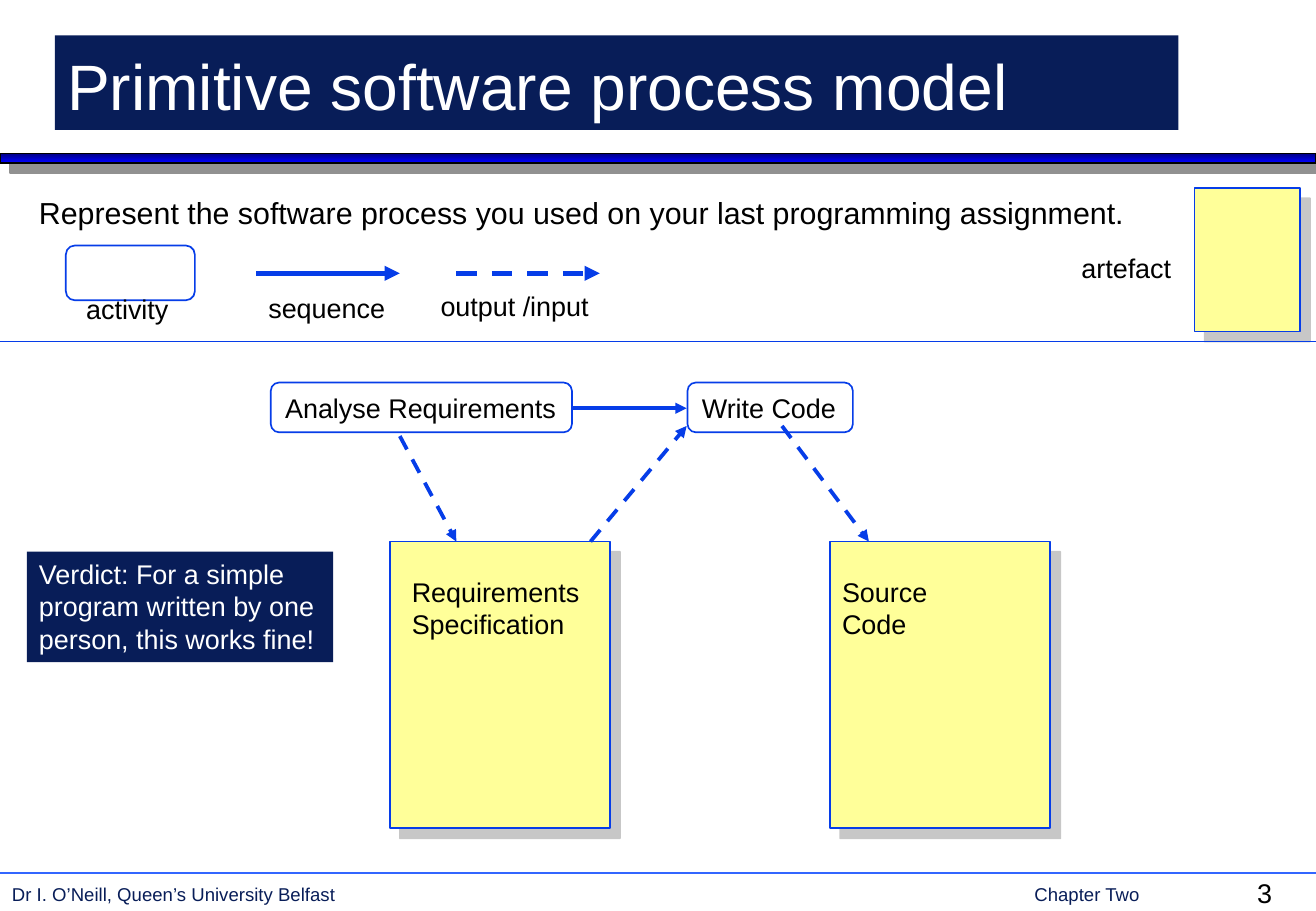
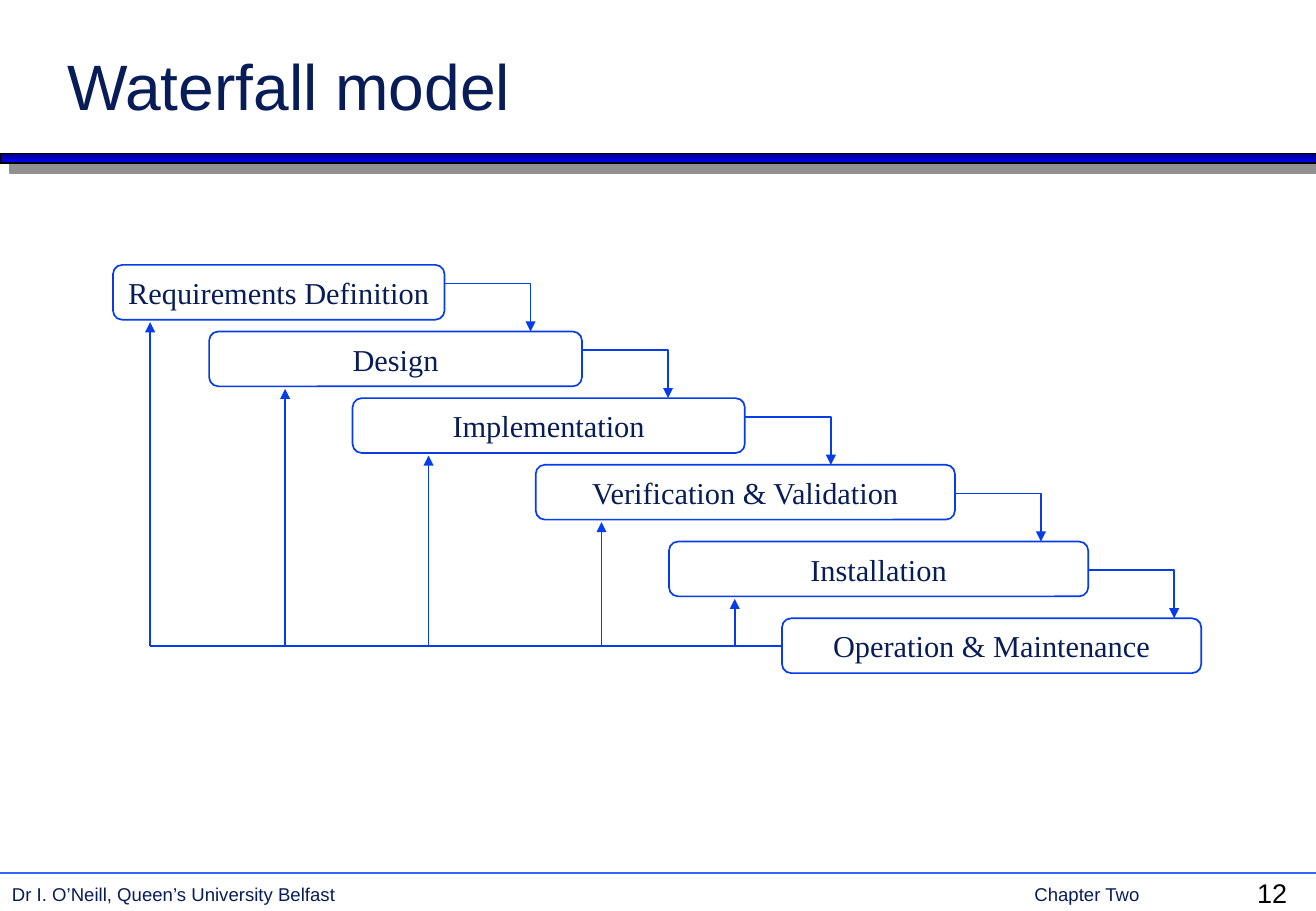
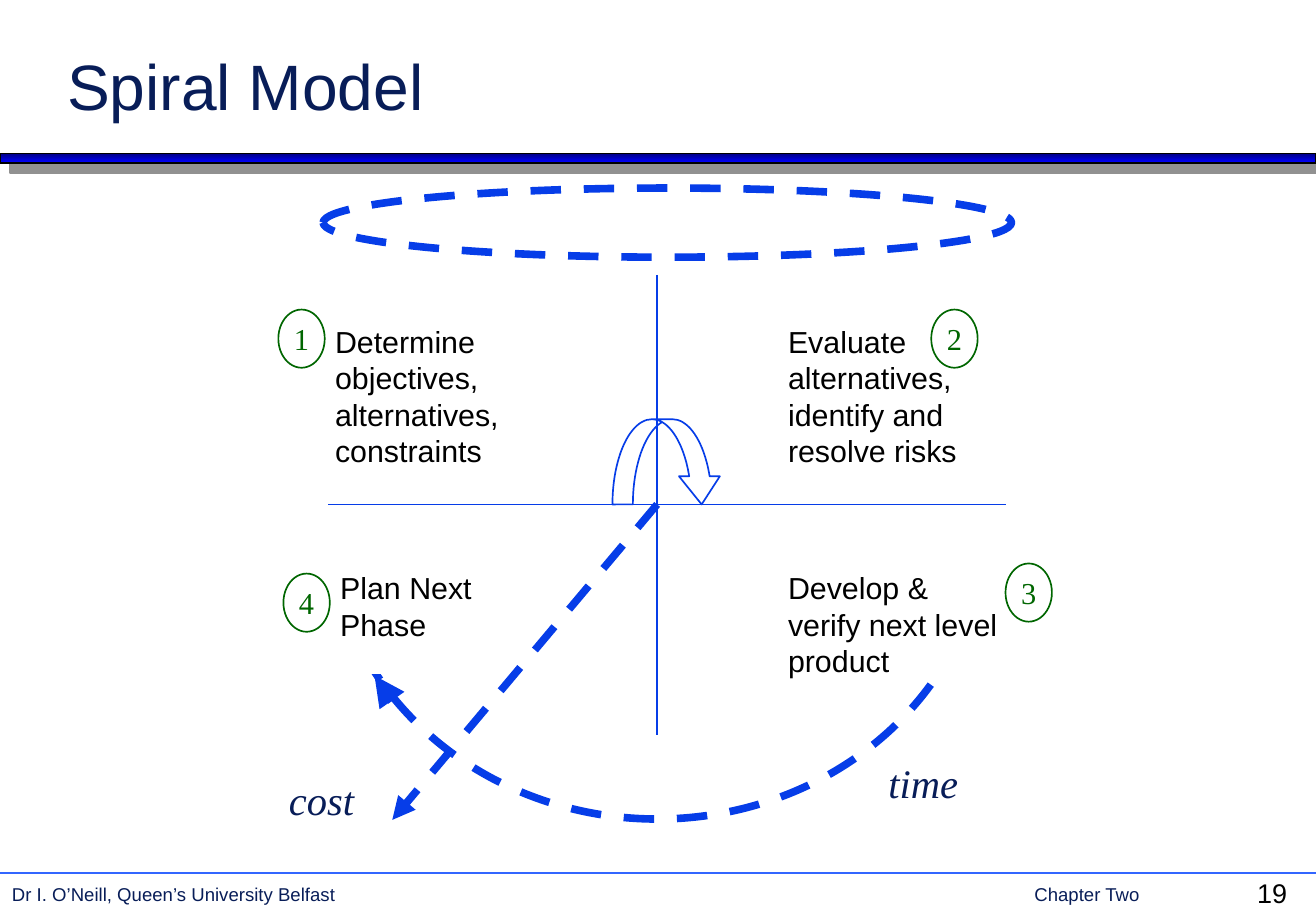
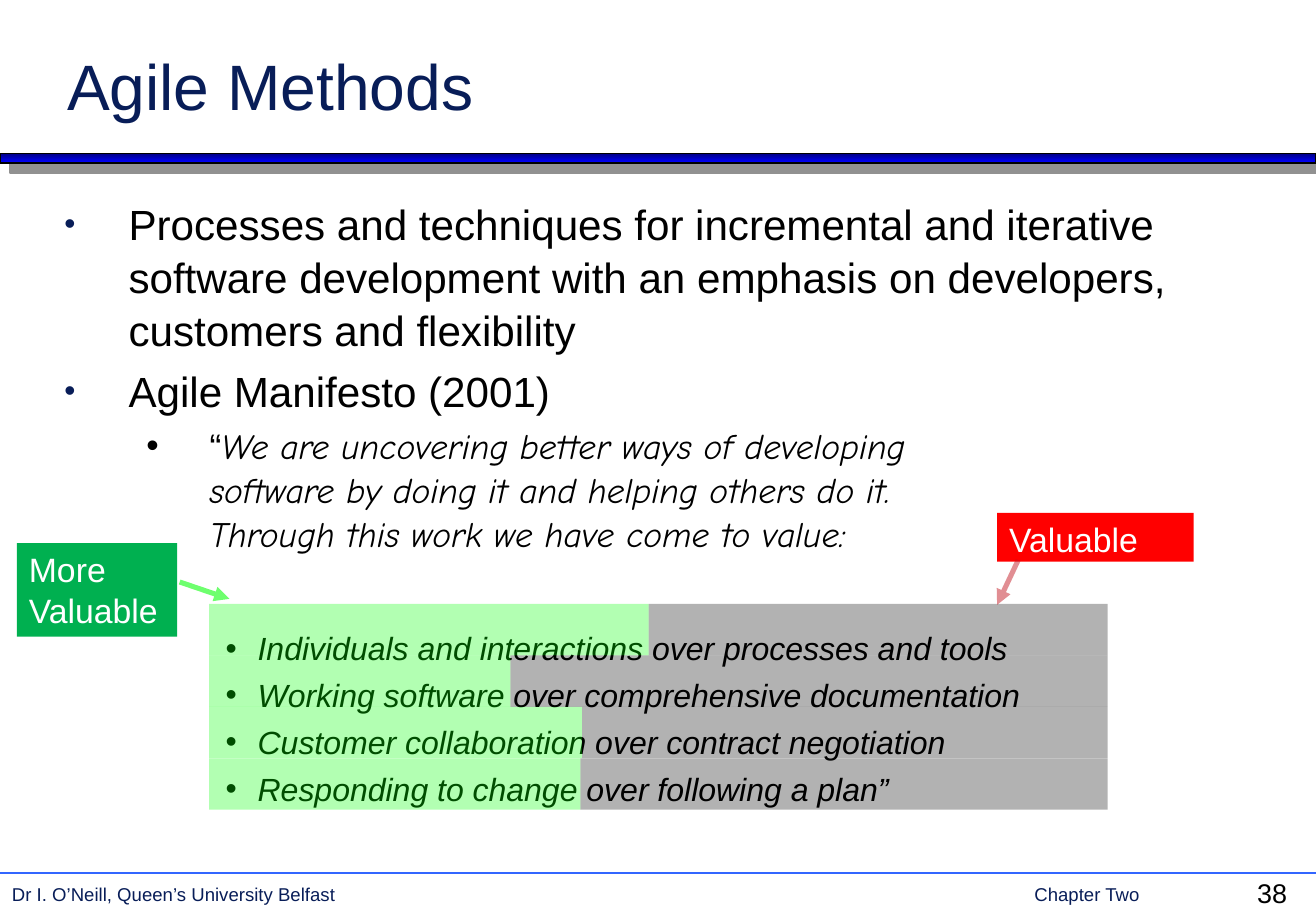
from dataclasses import dataclass

from lxml import etree
from pptx import Presentation
from pptx.dml.color import RGBColor
from pptx.enum.dml import MSO_LINE
from pptx.enum.shapes import MSO_CONNECTOR, MSO_SHAPE
from pptx.enum.text import MSO_ANCHOR, MSO_AUTO_SIZE, PP_ALIGN
from pptx.oxml.ns import qn
from pptx.util import Pt

RECT, ROUND = MSO_SHAPE.RECTANGLE, MSO_SHAPE.ROUNDED_RECTANGLE
OVAL, CURVED = MSO_SHAPE.OVAL, MSO_SHAPE.CURVED_DOWN_ARROW
STRAIGHT, DASH = MSO_CONNECTOR.STRAIGHT, MSO_LINE.DASH
LEFT, CENTER, RIGHT = PP_ALIGN.LEFT, PP_ALIGN.CENTER, PP_ALIGN.RIGHT
TOP, MIDDLE, BOTTOM = MSO_ANCHOR.TOP, MSO_ANCHOR.MIDDLE, MSO_ANCHOR.BOTTOM
FIXED = MSO_AUTO_SIZE.NONE

WIDE, HIGH = 780, 540
FULL, BARE = 1, 5  # layouts: title and body, title only


@dataclass(frozen=True)
class Theme:
    # colours
    navy: str = "081D58"
    blue: str = "063DE8"
    rule: str = "3366FF"
    deep: str = "000082"
    vivid: str = "0000FF"
    black: str = "000000"
    white: str = "FFFFFF"
    paper: str = "FFFF99"
    shade: str = "919191"
    forest: str = "006600"
    lime: str = "00FF00"
    green: str = "00B050"
    red: str = "FF0000"
    wine: str = "C1131E"
    # fonts
    sans: str = "Arial"
    serif: str = "Times New Roman"
    hand: str = "Comic Neue"
    # type sizes
    title: float = 38
    lead: float = 25
    axis: float = 24
    quote: float = 21
    tag: float = 20
    item: float = 19
    text: float = 18
    note: float = 16
    foot: float = 11


T = Theme()


def node(parent, tag, **attrs):
    """Append a DrawingML element."""
    return etree.SubElement(parent, qn(tag), attrs)


def paint(fill, color, alpha=100):
    fill.solid()
    fill.fore_color.rgb = RGBColor.from_string(color)
    if alpha < 100:
        for rgb in fill._xPr.iter(qn("a:srgbClr")):
            node(rgb, "a:alpha", val=str(alpha * 1000))


def style(run, size, color, font=T.sans, italic=False):
    run.font.size = Pt(size)
    run.font.name = font
    run.font.italic = italic
    run.font.color.rgb = RGBColor.from_string(color)


class Deck:
    def __init__(self):
        self.prs = Presentation()
        self.prs.slide_width, self.prs.slide_height = Pt(WIDE), Pt(HIGH)
        self.slide = None

    # Slides and shared parts
    def page(self, title, number, layout=BARE, fill=None):
        self.slide = self.prs.slides.add_slide(self.prs.slide_layouts[layout])
        if len(self.prs.slides) == 1:
            self.frame()
        head = self.slide.shapes.title
        self.place(head, (32.5, 21, 666, 56))
        if fill:
            paint(head.fill, fill)
        self.letter(head, title, T.title, T.white if fill else T.navy,
                    anchor=BOTTOM)
        self.text(str(number), (738, 516, 42, 26.5), T.note)

    def frame(self):
        """Put the band, rule and footer on the slide master."""
        band = self.box(RECT, (0, 91, WIDE, 5.5), line=T.black)
        band.fill.gradient()
        band.fill.gradient_angle = 270
        for stop, color in zip(band.fill.gradient_stops, (T.deep, T.vivid)):
            stop.color.rgb = RGBColor.from_string(color)
        self.shadow(band, 100)
        rule = self.line((0, 517.5), (WIDE, 517.5), color=T.rule)
        foot = self.text("Dr I. O’Neill, Queen’s University Belfast\tChapter Two",
                         (0, 520, 719, 20), T.foot, T.navy)
        props = foot.text_frame.paragraphs[0]._p.get_or_add_pPr()
        node(node(props, "a:tabLst"), "a:tab", pos=str(Pt(606)), algn="l")
        for key, part in enumerate((band, rule, foot), 20):
            part.element.xpath(".//p:cNvPr")[0].set("id", str(key))
            self.prs.slide_master.shapes.element.append(part.element)

    def place(self, shape, at):
        shape.left, shape.top, shape.width, shape.height = map(Pt, at)

    # Text
    def letter(self, shape, text, size, color, font=T.sans, italic=False,
               align=LEFT, anchor=TOP, wrap=True, inset=7.2):
        frame = shape.text_frame
        frame.word_wrap, frame.auto_size = wrap, FIXED
        frame.vertical_anchor = anchor
        frame.margin_left = frame.margin_right = Pt(inset)
        frame.margin_top = frame.margin_bottom = Pt(3.6)
        para = frame.paragraphs[0]
        para.text = text
        para.alignment = align
        for run in para.runs:
            style(run, size, color, font, italic)

    def text(self, text, at, size, color=T.black, **look):
        area = self.slide.shapes.add_textbox(*map(Pt, at))
        self.letter(area, text, size, color, **look)
        return area

    def bullet(self, para, level, left, hang, before, color, size=100):
        para.level = level
        para.alignment = LEFT
        para.line_spacing = 1.04
        para.space_before = Pt(before)
        props = para._p.get_or_add_pPr()
        props.set("marL", str(Pt(left)))
        props.set("indent", str(Pt(-hang)))
        node(node(props, "a:buClr"), "a:srgbClr", val=color)
        node(props, "a:buSzPct", val=str(size * 1000))
        node(props, "a:buFont", typeface=T.sans)
        node(props, "a:buChar", char="•")

    # Shapes
    def box(self, kind, at, fill=None, line=None, width=1, dash=None,
            alpha=100):
        shape = self.slide.shapes.add_shape(kind, *map(Pt, at))
        shape.shadow.inherit = False
        if fill:
            paint(shape.fill, fill, alpha)
        else:
            shape.fill.background()
        if line:
            self.stroke(shape, line, width, dash)
        else:
            shape.line.fill.background()
        return shape

    def shadow(self, shape, alpha):
        effects = shape.element.spPr.find(qn("a:effectLst"))
        cast = node(effects, "a:outerShdw", dist=str(Pt(8.5)), dir="2700000",
                    algn="ctr", rotWithShape="0")
        rgb = node(cast, "a:srgbClr", val=T.shade)
        node(rgb, "a:alpha", val=str(alpha * 1000))

    def card(self, at):
        self.shadow(self.box(RECT, at, T.paper, T.blue), 50)

    def label(self, text, at, fill, size):
        self.letter(self.box(RECT, at, fill), text, size, T.white)

    def task(self, text, at, **look):
        self.letter(self.box(ROUND, at, line=T.blue), text, anchor=MIDDLE,
                    **look)

    def badge(self, text, left, top):
        ring = self.box(OVAL, (left, top, 27.5, 34.5), line=T.forest)
        self.letter(ring, text, T.text, T.forest, T.serif, align=CENTER,
                    anchor=MIDDLE, wrap=False)

    # Lines and arrows
    def stroke(self, shape, color, width, dash=None, arrow=False, alpha=100):
        shape.line.width = Pt(width)
        paint(shape.line.fill, color, alpha)
        if dash:
            shape.line.dash_style = dash
        if arrow:
            node(shape.element.spPr.find(qn("a:ln")), "a:tailEnd",
                 type="triangle")

    def line(self, start, end, width=1, color=T.blue, **look):
        link = self.slide.shapes.add_connector(
            STRAIGHT, *map(Pt, start + end))
        self.stroke(link, color, width, **look)
        node(link.element.spPr, "a:effectLst")
        return link

    def arrow(self, start, end, width=1, **look):
        self.line(start, end, width, arrow=True, **look)

    def elbow(self, start, end):
        (x, y), (right, low) = start, end
        pen = self.slide.shapes.build_freeform(Pt(x), Pt(y))
        pen.add_line_segments([(Pt(right), Pt(y)), (Pt(right), Pt(low))],
                              close=False)
        bend = pen.convert_to_shape()
        bend.shadow.inherit = False
        bend.fill.background()
        self.stroke(bend, T.blue, 1, arrow=True)


deck = Deck()

# Slide 1: primitive process
deck.page("Primitive software process model", 3, fill=T.navy)

# Key to the symbols
deck.text("Represent the software process you used on your last "
          "programming assignment.", (16, 111.5, 720, 29), T.text)
deck.box(ROUND, (39, 145.5, 76.5, 32.5), line=T.blue)
deck.arrow((152, 162), (237, 162), 3)
deck.arrow((270.5, 162), (355.5, 162), 3, dash=DASH)
deck.card((708, 111.5, 62.5, 85))
for word, at in (("activity", (44, 170, 79, 26.5)),
                 ("sequence", (152, 169, 102, 26.5)),
                 ("output /input", (254, 168, 142, 26.5))):
    deck.text(word, at, T.note)
deck.text("artefact", (639.5, 145.5, 62.5, 26.5), T.note, inset=1.5)
deck.line((0, 202.5), (WIDE, 202.5))

# Activities and artefacts
for name, left, wide in (("Analyse Requirements", 160.5, 178.5),
                         ("Write Code", 407.5, 98)):
    deck.task(name, (left, 226.75, wide, 29.5), size=T.note, color=T.black,
              wrap=False)
for name, left, inner in (("Requirements Specification", 231, 237),
                          ("Source\vCode", 492, 492)):
    deck.card((left, 321, 130.5, 170))
    deck.text(name, (inner, 337.5, 130.5, 46), T.note)
deck.arrow((339, 242), (407, 242), 2.25)
for start, end in (((237, 258.5), (270.5, 321)),
                   ((350, 321), (407, 252.5)),
                   ((463.5, 252.5), (515, 321))):
    deck.arrow(start, end, 2.25, dash=DASH)
deck.label("Verdict: For a simple program written by one person, this works "
           "fine!", (16, 327, 181.5, 65.5), T.navy, T.note)

# Slide 2: waterfall
deck.page("Waterfall model", 12)
# name, left, top, width, x of the way back
steps = (("Requirements Definition", 67, 157, 196.5, 89),
         ("Design", 124, 196.5, 221, 169),
         ("Implementation", 209, 236, 232.5, 254),
         ("Verification & Validation", 317.5, 275.5, 248.5, 356.5),
         ("Installation", 396.5, 321, 248.5, 435.5),
         ("Operation & Maintenance", 463.5, 366.5, 248.5, None))
tall, base = 32.5, 383
for name, left, top, wide, back in steps:
    deck.task(name, (left, top, wide, tall), size=T.text, color=T.navy,
              font=T.serif, align=CENTER, wrap=wide > 200)
    if back:
        deck.arrow((back, base), (back, top + tall + 1.5))
for step, after in zip(steps, steps[1:]):
    right, low = step[1] + step[3], after[2]
    deck.elbow((right, low - 28.5), (right + 51, low))
deck.line((steps[0][4], base), (steps[-1][1], base))

# Slide 3: spiral
deck.page("Spiral Model", 19)

# Lower arc: the white panel hides the upper half
deck.box(OVAL, (194.5, 127.5, 390, 358), line=T.blue, width=4.5, dash=DASH)
deck.box(RECT, (140.5, 122.5, 493, 277), T.white)
deck.arrow((232.5, 415.5), (222, 400.5), 6)

# Axes and turn
deck.line((389.5, 163), (389.5, 435.5))
deck.line((194.5, 299), (596, 299))
turn = deck.box(CURVED, (363, 248.5, 65, 50.5), line=T.blue)
for spot, value in enumerate((0.24, 0.48, 0.33)):
    turn.adjustments[spot] = value
deck.arrow((389.5, 299), (232.5, 486), 4.5, dash=DASH)

# Quadrants
for text, left, top, high in (
        ("Determine objectives, alternatives, constraints", 191.5, 188, 94.5),
        ("Evaluate alternatives, identify and resolve risks", 460, 188, 94.5),
        ("Develop & verify next level product", 460, 334, 73),
        ("Plan Next Phase", 194.5, 334, 51)):
    deck.text(text, (left, top, 141, high), T.text)
for number, spot in enumerate(((165, 183.5), (552, 183.5), (596, 334),
                               (168, 340)), 1):
    deck.badge(str(number), *spot)
for word, left, top in (("time", 515, 445.5), ("cost", 157, 456)):
    deck.text(word, (left, top, 60, 31.5), T.axis, T.navy, font=T.serif,
              italic=True, align=RIGHT)
deck.box(OVAL, (191.5, 111.5, 408, 41), line=T.blue, width=4.5, dash=DASH)

# Slide 4: agile
deck.page("Agile Methods", 38, FULL)
body = deck.slide.placeholders[1]
deck.place(body, (31, 113, 719.5, 385))

# Lead points
lead = ("Processes and techniques for incremental and iterative software "
        "development with an emphasis on developers, customers and "
        "flexibility", "Agile Manifesto (2001)")
deck.letter(body, lead[0], T.lead, T.black)
frame = body.text_frame
deck.bullet(frame.paragraphs[0], 0, 38, 38, 5, T.navy, 75)
point = frame.add_paragraph()
point.text = lead[1]
style(point.runs[0], T.lead, T.black)
deck.bullet(point, 0, 38, 38, 5, T.navy, 75)

# Quotation
quote = frame.add_paragraph()
quote.text = "“"
style(quote.runs[0], T.quote, T.black)
for row, words in enumerate((
        "We are uncovering better ways of developing",
        "software by doing it and helping others do it.",
        "Through this work we have come to value:")):
    if row:
        quote.add_line_break()
    run = quote.add_run()
    run.text = words
    style(run, T.quote, T.black, T.hand, True)
deck.bullet(quote, 1, 86, 37.5, 4, T.black)

# Values
for row, words in enumerate((
        "Individuals and interactions over processes and tools",
        "Working software over comprehensive documentation",
        "Customer collaboration over contract negotiation",
        "Responding to change over following a plan”")):
    value = frame.add_paragraph()
    value.text = words
    style(value.runs[0], T.item, T.black, italic=True)
    deck.bullet(value, 2, 114.5, 19, 4 if row else 43, T.black)

# Tinted rows, split between the two sides
near, far, pitch = 124, 656.5, 30.5
for row, split in enumerate((384.5, 302.5, 345, 344)):
    top = 358 + row * pitch
    deck.box(RECT, (split, top, far - split, pitch), T.black, alpha=30)
    deck.box(RECT, (near, top, split - near, pitch), T.lime, alpha=30)

# Labels
deck.label("Valuable", (591, 304, 116.5, 29), T.red, T.tag)
deck.arrow((603.5, 332), (591, 358.5), 3, color=T.wine, alpha=48)
deck.label("More Valuable", (10, 322, 95, 55.5), T.green, T.tag)
deck.arrow((106.5, 345), (136, 355), 3, color=T.lime, alpha=57)

deck.prs.save("out.pptx")
